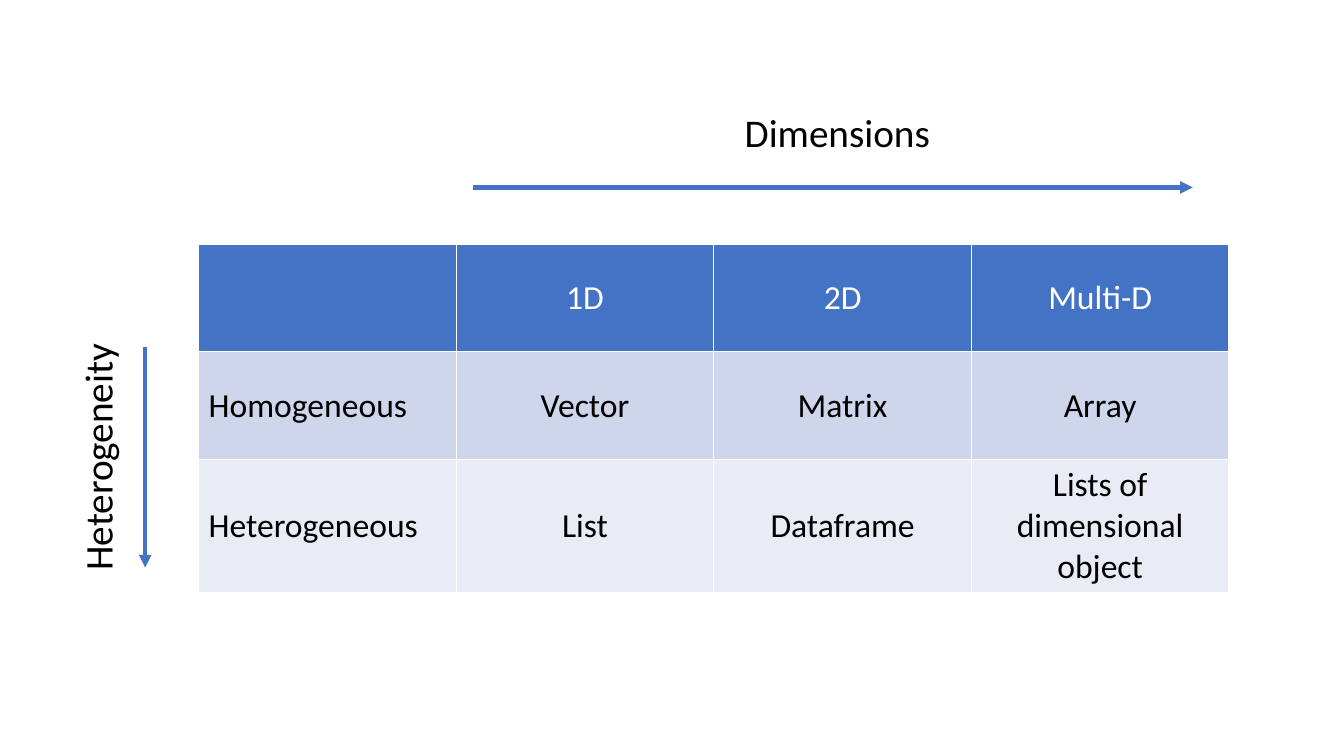
from lxml import etree
from pptx import Presentation
from pptx.dml.color import RGBColor
from pptx.enum import shapes, text
from pptx.oxml import ns
from pptx.util import Inches, Pt

ROWS = [
    ("", "1D", "2D", "Multi-D"),
    ("Homogeneous", "Vector", "Matrix", "Array"),
    ("Heterogeneous", "List", "Dataframe", "Lists of dimensional object"),
]
# Label, left, top, rotation
AXIS_LABELS = [("Dimensions", 4.97, 1.03, 0), ("Heterogeneity", -2.37, 4.25, 270)]
# Start x, start y, end x, end y
AXIS_ARROWS = [(4.69, 1.86, 11.83, 1.86), (1.44, 3.44, 1.44, 5.63)]

FONT = "Calibri"
BLUE = RGBColor(0x44, 0x72, 0xC4)
WHITE = RGBColor(0xFF, 0xFF, 0xFF)
BLACK = RGBColor(0, 0, 0)
ROW_FILLS = [BLUE, RGBColor(0xCF, 0xD5, 0xEA), RGBColor(0xE9, 0xEB, 0xF5)]
TABLE_LEFT, TABLE_TOP = 1.97, 2.42
COLUMN_WIDTH, ROW_HEIGHT = 2.555, 1.07


def style_text(text_frame, size, color, alignment):
    """Format the first paragraph and its runs."""
    paragraph = text_frame.paragraphs[0]
    paragraph.alignment = alignment
    for run in paragraph.runs:
        run.font.name = FONT
        run.font.size = Pt(size)
        run.font.bold = False
        run.font.color.rgb = color


def add_borders(cell):
    """Give a cell thin white borders on all four sides."""
    properties = cell._tc.get_or_add_tcPr()
    for position, side in enumerate(("lnL", "lnR", "lnT", "lnB")):
        line = etree.Element(ns.qn(f"a:{side}"), w=str(Pt(1)))
        fill = etree.SubElement(line, ns.qn("a:solidFill"))
        etree.SubElement(fill, ns.qn("a:srgbClr"), val=str(WHITE))
        properties.insert(position, line)


def add_structure_table(slide):
    """Add the table of data structures."""
    row_count, column_count = len(ROWS), len(ROWS[0])
    table = slide.shapes.add_table(
        row_count, column_count, Inches(TABLE_LEFT), Inches(TABLE_TOP),
        Inches(COLUMN_WIDTH * column_count), Inches(ROW_HEIGHT * row_count)).table
    for row_index, labels in enumerate(ROWS):
        for column_index, label in enumerate(labels):
            cell = table.cell(row_index, column_index)
            cell.text_frame.text = label
            cell.vertical_anchor = text.MSO_ANCHOR.MIDDLE
            cell.fill.solid()
            cell.fill.fore_color.rgb = ROW_FILLS[row_index]
            add_borders(cell)
            style_text(cell.text_frame, 24, BLACK if row_index else WHITE,
                       text.PP_ALIGN.CENTER if column_index else text.PP_ALIGN.LEFT)


def add_arrow(slide, start_x, start_y, end_x, end_y):
    """Add a blue arrow along one axis."""
    arrow = slide.shapes.add_connector(
        shapes.MSO_CONNECTOR.STRAIGHT,
        Inches(start_x), Inches(start_y), Inches(end_x), Inches(end_y))
    arrow.line.color.rgb = BLUE
    arrow.line.width = Pt(3)
    etree.SubElement(arrow.line._get_or_add_ln(), ns.qn("a:tailEnd"), type="triangle")
    etree.SubElement(arrow._element.spPr, ns.qn("a:effectLst"))


def add_axis_label(slide, label, left, top, rotation):
    """Add a centred axis label."""
    box = slide.shapes.add_textbox(Inches(left), Inches(top), Inches(6.67), Inches(0.57))
    box.rotation = rotation
    box.text_frame.word_wrap = True
    box.text_frame.auto_size = text.MSO_AUTO_SIZE.SHAPE_TO_FIT_TEXT
    box.text_frame.text = label
    style_text(box.text_frame, 28, BLACK, text.PP_ALIGN.CENTER)


presentation = Presentation()
presentation.slide_width = Inches(13.33)
presentation.slide_height = Inches(7.5)
slide = presentation.slides.add_slide(presentation.slide_layouts[6])
add_structure_table(slide)
for arrow_ends in AXIS_ARROWS:
    add_arrow(slide, *arrow_ends)
for axis_label in AXIS_LABELS:
    add_axis_label(slide, *axis_label)
presentation.save("out.pptx")
